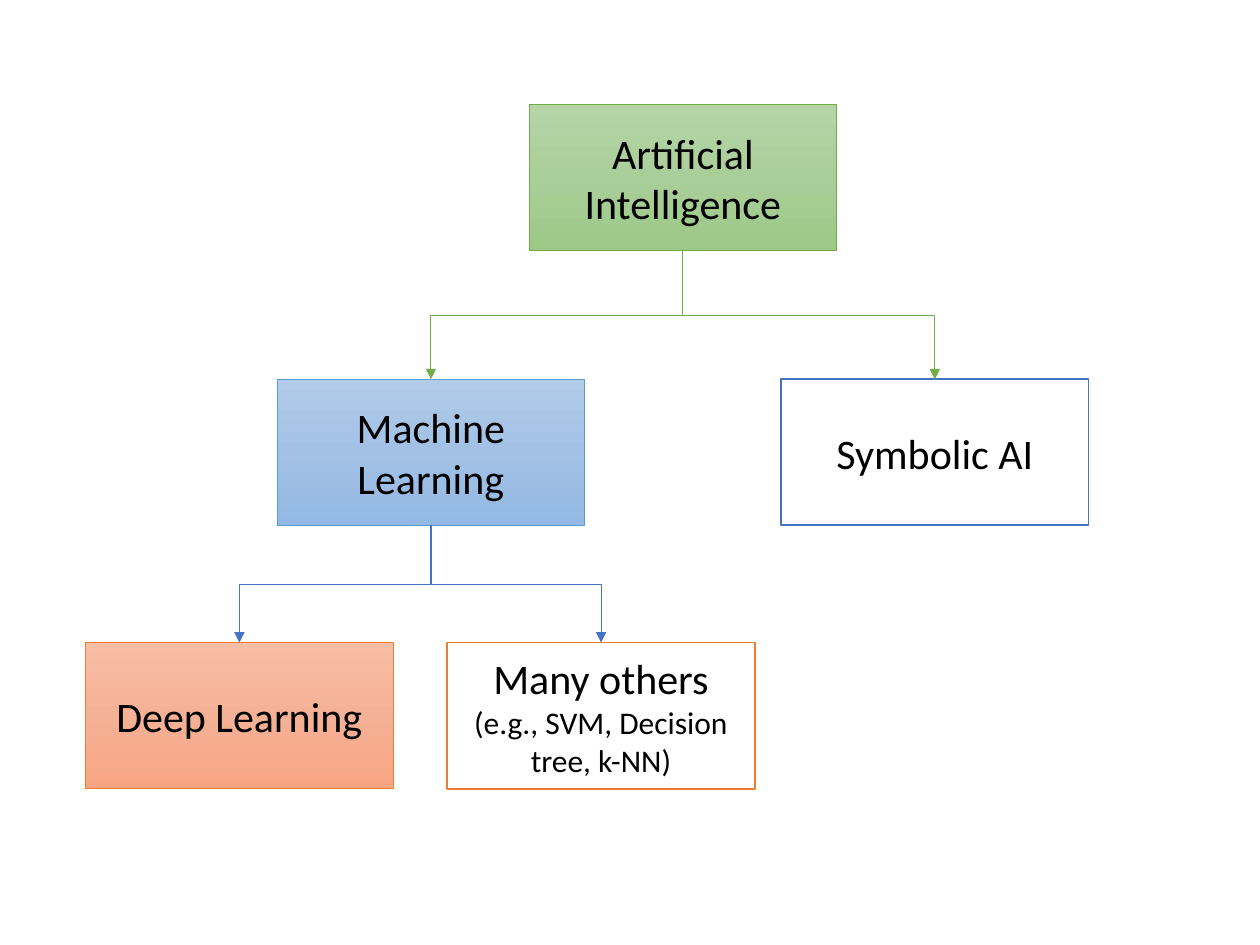
from copy import deepcopy
from dataclasses import dataclass

from pptx import Presentation
from pptx.dml.color import RGBColor as RGB
from pptx.enum.shapes import MSO_CONNECTOR as Link, MSO_SHAPE as Shape
from pptx.enum.text import MSO_ANCHOR as Anchor, PP_ALIGN as Align
from pptx.oxml.ns import qn
from pptx.oxml.xmlchemy import OxmlElement as Element
from pptx.util import Inches, Pt


@dataclass(frozen=True)
class Theme:
    font: str = "Calibri"
    large: int = 24
    small: int = 18
    thin: float = 0.5
    thick: float = 1
    text: str = "000000"
    white: str = "FFFFFF"
    green: str = "70AD47"
    sky: str = "5B9BD5"
    blue: str = "4472C4"
    orange: str = "ED7D31"
    greens: tuple = ("B5D5A7", "AACE9A", "9CC987")
    blues: tuple = ("B1CBE9", "A3C1E5", "93B9E4")
    oranges: tuple = ("F7BDA5", "F5B196", "F8A582")


THEME = Theme()
NODE_W, NODE_H = 2.44, 1.16
ROWS = (0.83, 3.01, 5.1)


def shade(node, colors):
    """Fill a node with evenly spaced colours from top to bottom."""
    fill = node.fill
    fill.gradient()
    fill.gradient_angle = 270
    stops = node._element.spPr.find(".//" + qn("a:gsLst"))
    stops.insert(1, deepcopy(stops[0]))
    for i, (stop, color) in enumerate(zip(fill.gradient_stops, colors)):
        stop.position = i / (len(colors) - 1)
        stop.color.rgb = RGB.from_string(color)


def add_node(slide, left, top, text, edge, colors=None, note=None):
    """Add a box; without gradient colours it is white with a thicker edge."""
    node = slide.shapes.add_shape(
        Shape.RECTANGLE, Inches(left), Inches(top), Inches(NODE_W), Inches(NODE_H))
    node.shadow.inherit = False
    if colors:
        shade(node, colors)
    else:
        node.fill.solid()
        node.fill.fore_color.rgb = RGB.from_string(THEME.white)
    node.line.color.rgb = RGB.from_string(edge)
    node.line.width = Pt(THEME.thin if colors else THEME.thick)

    frame = node.text_frame
    frame.word_wrap = True
    frame.vertical_anchor = Anchor.MIDDLE
    para = frame.paragraphs[0]
    para.text = text
    para.alignment = Align.CENTER
    if note:
        para.add_run().text = note
    for run, size in zip(para.runs, (THEME.large, THEME.small)):
        run.font.name = THEME.font
        run.font.size = Pt(size)
        run.font.color.rgb = RGB.from_string(THEME.text)
    return node


def add_branch(slide, parent, child, color):
    """Join a parent's bottom to a child's top with a bent arrow."""
    x1, y1 = parent.left + parent.width // 2, parent.top + parent.height
    x2, y2 = child.left + child.width // 2, child.top
    link = slide.shapes.add_connector(Link.ELBOW, x1, y1, x2, y2)
    link.begin_connect(parent, 2)
    link.end_connect(child, 0)

    # The elbow runs sideways by default, so it is turned about its centre.
    wide, high = y2 - y1, abs(x2 - x1)
    link.left, link.top = (x1 + x2 - wide) // 2, (y1 + y2 - high) // 2
    link.width, link.height = wide, high
    props = link._element.spPr
    right = x2 > x1
    props.xfrm.rot = 270 if right else 90
    props.xfrm.flipH = right
    props.xfrm.flipV = False

    link.line.color.rgb = RGB.from_string(color)
    link.line.width = Pt(THEME.thin)
    head = Element("a:tailEnd")
    head.set("type", "triangle")
    props.find(qn("a:ln")).append(head)
    props.append(Element("a:effectLst"))


def add_tree(slide, left, top):
    """Place the hierarchy relative to its top left corner."""
    rows = [top + row - ROWS[0] for row in ROWS]
    root = add_node(slide, left + 3.52, rows[0], "Artificial Intelligence",
                    THEME.green, THEME.greens)
    learn = add_node(slide, left + 1.52, rows[1], "Machine Learning",
                     THEME.sky, THEME.blues)
    deep = add_node(slide, left, rows[2], "Deep Learning",
                    THEME.orange, THEME.oranges)
    logic = add_node(slide, left + 5.52, rows[1], "Symbolic AI", THEME.blue)
    other = add_node(slide, left + 2.87, rows[2], "Many others ", THEME.orange,
                     note="(e.g., SVM, Decision tree, k-NN)")
    for parent, children, color in (
            (root, (learn, logic), THEME.green),
            (learn, (deep, other), THEME.blue)):
        for child in children:
            add_branch(slide, parent, child, color)


def main():
    deck = Presentation()
    deck.slide_width, deck.slide_height = Inches(10), Inches(7.5)
    slide = deck.slides.add_slide(deck.slide_layouts[6])
    add_tree(slide, 0.68, ROWS[0])
    deck.save("out.pptx")


if __name__ == "__main__":
    main()
